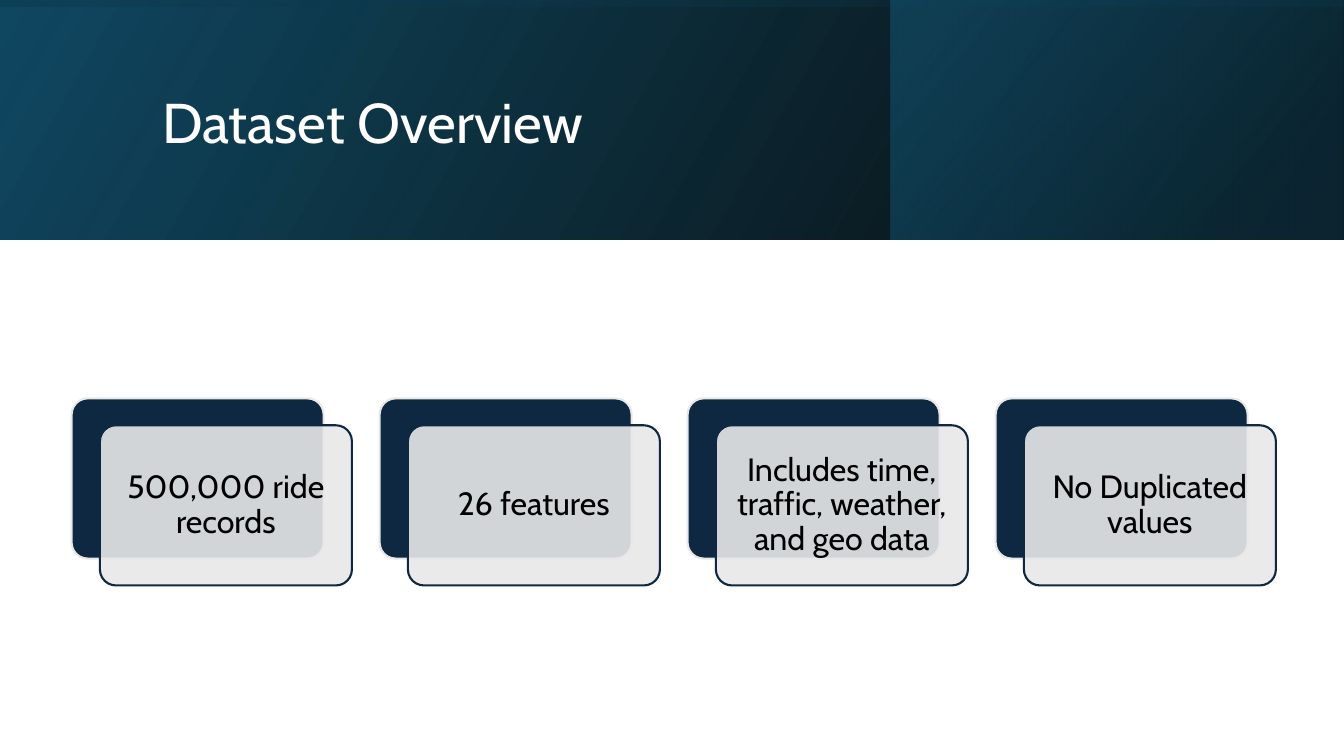
from dataclasses import dataclass

from lxml.etree import SubElement
from pptx import Presentation
from pptx.dml.color import RGBColor
from pptx.enum.shapes import MSO_SHAPE as Shape
from pptx.enum.text import MSO_ANCHOR as Anchor, MSO_AUTO_SIZE as AutoSize, PP_ALIGN as Align
from pptx.oxml.ns import qn
from pptx.util import Pt


@dataclass(frozen=True)
class Theme:
    font: str = "Cabin"
    title_size: float = 40
    card_size: float = 23
    white: str = "FFFFFF"
    black: str = "000000"
    navy: str = "0E2841"
    pale: str = "E8E8E8"
    blue: str = "104862"
    deep_teal: str = "0B3041"
    teal: str = "156082"


def write_text(frame, text, *, font, size, color, align=Align.LEFT, inset=(7.2, 3.6)):
    frame.word_wrap = True
    frame.auto_size = AutoSize.NONE
    frame.vertical_anchor = Anchor.MIDDLE
    frame.margin_left = frame.margin_right = Pt(inset[0])
    frame.margin_top = frame.margin_bottom = Pt(inset[1])
    paragraph = frame.paragraphs[0]
    paragraph.alignment = align
    paragraph.line_spacing = 0.9
    run = paragraph.add_run()
    run.text = text
    run.font.name = font
    run.font.size = Pt(size)
    run.font.color.rgb = RGBColor.from_string(color)


def set_opacity(color_element, percent):
    SubElement(color_element, qn("a:alpha")).set("val", str(percent * 1000))


class SlideBuilder:
    def __init__(self, slide, theme):
        self.slide = slide
        self.theme = theme

    def shape(self, kind, left, top, width, height):
        shape = self.slide.shapes.add_shape(kind, Pt(left), Pt(top), Pt(width), Pt(height))
        shape.shadow.inherit = False
        return shape

    def gradient_band(self, left, top, width, height, stops, angle, rotation=0):
        """Mirrored rectangle; stops are (position, colour, opacity) in percent."""
        band = self.shape(Shape.RECTANGLE, left, top, width, height)
        band.rotation = rotation
        band.line.fill.background()
        properties = band._element.spPr
        properties.find(qn("a:xfrm")).set("flipH", "1")
        band.fill.gradient()
        gradient = properties.find(qn("a:gradFill"))
        for child in list(gradient):
            gradient.remove(child)
        stop_list = SubElement(gradient, qn("a:gsLst"))
        for position, color, opacity in stops:
            stop = SubElement(stop_list, qn("a:gs"), pos=str(position * 1000))
            set_opacity(SubElement(stop, qn("a:srgbClr"), val=color), opacity)
        SubElement(gradient, qn("a:lin"), ang=str(angle * 60000), scaled="0")

    def title(self, text, left, top, width, height):
        title = self.slide.shapes.title
        title.left, title.top = Pt(left), Pt(top)
        title.width, title.height = Pt(width), Pt(height)
        # Bring the title in front of the bands
        self.slide.shapes._spTree.append(title._element)
        write_text(title.text_frame, text, font=self.theme.font,
                   size=self.theme.title_size, color=self.theme.white)

    def panel(self, left, top, width, height, fill, line, opacity=100):
        panel = self.shape(Shape.ROUNDED_RECTANGLE, left, top, width, height)
        panel.adjustments[0] = 0.1
        panel.fill.solid()
        panel.fill.fore_color.rgb = RGBColor.from_string(fill)
        if opacity < 100:
            set_opacity(panel._element.spPr.find(qn("a:solidFill"))[0], opacity)
        panel.line.color.rgb = RGBColor.from_string(line)
        panel.line.width = Pt(1.5)
        return panel

    def card(self, text, left, top, width=180, height=114.4, offset=(20.2, 19.2)):
        theme = self.theme
        self.panel(left, top, width, height, theme.navy, theme.pale)
        front = self.panel(left + offset[0], top + offset[1], width, height,
                           theme.pale, theme.navy, opacity=90)
        write_text(front.text_frame, text, font=theme.font, size=theme.card_size,
                   color=theme.black, align=Align.CENTER, inset=(7, 7))


def main():
    slide_width, slide_height = 960, 540
    header_height = 171
    presentation = Presentation()
    presentation.slide_width = Pt(slide_width)
    presentation.slide_height = Pt(slide_height)
    theme = Theme()
    builder = SlideBuilder(presentation.slides.add_slide(presentation.slide_layouts[5]), theme)

    # Header: base, right-hand accent, and an overlay turned on its side
    builder.gradient_band(0, 0, slide_width, header_height,
                          [(0, theme.black, 96), (100, theme.blue, 100)], 330)
    accent_left = 636.5
    builder.gradient_band(accent_left, 0, slide_width - accent_left, header_height,
                          [(19, theme.deep_teal, 68), (100, theme.teal, 48)], 320)
    overlay_shift = (slide_width - header_height) / 2
    builder.gradient_band(overlay_shift, -overlay_shift, header_height, slide_width,
                          [(23, theme.blue, 16), (99, theme.black, 45)], 350, rotation=270)
    builder.title("Dataset Overview", 108.7, 27.4, 765.4, 123.8)

    # Row of dataset facts
    facts = ["500,000 ride records", "26 features",
             "Includes time, traffic, weather, and geo data", "No Duplicated values"]
    first_left, pitch = 51.2, 220
    for index, fact in enumerate(facts):
        builder.card(fact, first_left + index * pitch, 284.6)

    presentation.save("out.pptx")


if __name__ == "__main__":
    main()
